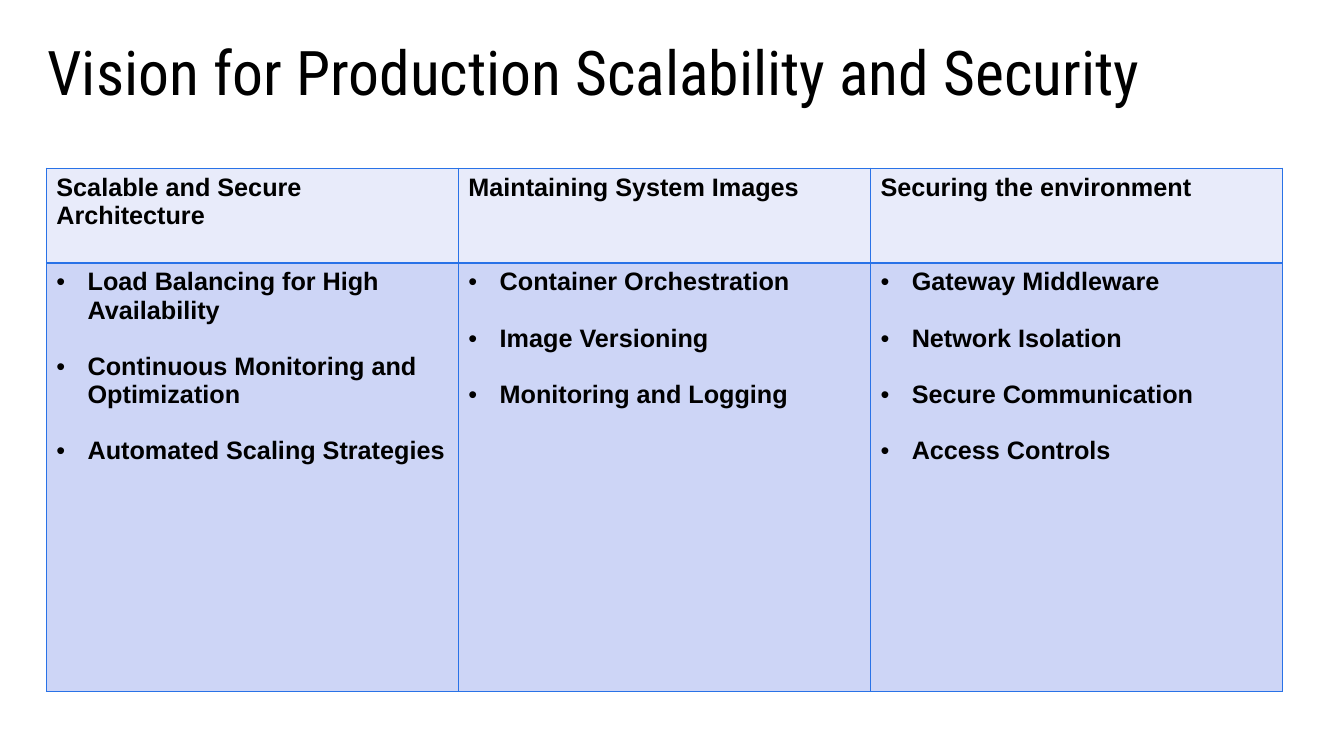
from dataclasses import dataclass

from lxml.etree import SubElement
from pptx import Presentation
from pptx.dml.color import RGBColor
from pptx.enum.text import MSO_ANCHOR, MSO_AUTO_SIZE, PP_ALIGN
from pptx.oxml import parse_xml
from pptx.oxml.ns import nsdecls, qn
from pptx.util import Inches, Pt


@dataclass(frozen=True)
class Theme:
    ink: str = "000000"
    border: str = "2972E7"
    heading_fill: str = "E8EBFA"
    body_fill: str = "CDD5F6"
    title_font: str = "Roboto Condensed"
    table_font: str = "Arial"
    title_size: int = 44
    table_size: int = 18
    point_gap: int = 20
    border_width: int = 1


theme = Theme()

topics = {
    "Scalable and Secure Architecture": [
        "Load Balancing for High Availability",
        "Continuous Monitoring and Optimization",
        "Automated Scaling Strategies",
    ],
    "Maintaining System Images": [
        "Container Orchestration",
        "Image Versioning",
        "Monitoring and Logging",
    ],
    "Securing the environment": [
        "Gateway Middleware",
        "Network Isolation",
        "Secure Communication",
        "Access Controls",
    ],
}


def style_text(paragraph, face, size, bold):
    for run in paragraph.runs:
        run.font.name = face
        run.font.size = Pt(size)
        run.font.bold = bold
        run.font.color.rgb = RGBColor.from_string(theme.ink)


def style_cell(cell, fill):
    cell.fill.solid()
    cell.fill.fore_color.rgb = RGBColor.from_string(fill)
    properties = cell._tc.get_or_add_tcPr()
    for position, side in enumerate("LRTB"):
        properties.insert(position, parse_xml(
            f'<a:ln{side} {nsdecls("a")} w="{Pt(theme.border_width)}">'
            f'<a:solidFill><a:srgbClr val="{theme.border}"/></a:solidFill>'
            f'</a:ln{side}>'))
    for paragraph in cell.text_frame.paragraphs:
        style_text(paragraph, theme.table_font, theme.table_size, True)


deck = Presentation()
deck.slide_width = Inches(13.33)
deck.slide_height = Inches(7.5)
slide = deck.slides.add_slide(deck.slide_layouts[5])

title = slide.shapes.title
title.left, title.top = Inches(0.37), Inches(0.37)
title.width, title.height = Inches(11.85), Inches(1.38)
title.text_frame.text = "Vision for Production Scalability and Security"
title.text_frame.word_wrap = True
title.text_frame.auto_size = MSO_AUTO_SIZE.NONE
title.text_frame.vertical_anchor = MSO_ANCHOR.TOP
headline = title.text_frame.paragraphs[0]
headline.alignment = PP_ALIGN.LEFT
headline.line_spacing = 0.9
style_text(headline, theme.title_font, theme.title_size, False)

row_heights = [Inches(0.94), Inches(4.25)]
vision = slide.shapes.add_table(
    len(row_heights), len(topics), Inches(0.46), Inches(1.67),
    Inches(12.26), sum(row_heights)).table
vision.first_row = False
vision.horz_banding = False
for row, height in zip(vision.rows, row_heights):
    row.height = height

for column, (topic, points) in enumerate(topics.items()):
    heading = vision.cell(0, column)
    heading.text_frame.text = topic
    style_cell(heading, theme.heading_fill)

    body = vision.cell(1, column)
    body.text_frame.text = "\n".join(points)
    for order, point in enumerate(body.text_frame.paragraphs):
        point.space_before = Pt(theme.point_gap if order else 0)
        layout = point._p.get_or_add_pPr()
        layout.set("marL", str(Inches(0.31)))
        layout.set("indent", str(-Inches(0.31)))
        SubElement(layout, qn("a:buFont")).set("typeface", theme.table_font)
        SubElement(layout, qn("a:buChar")).set("char", "•")
    style_cell(body, theme.body_fill)

deck.save("out.pptx")
